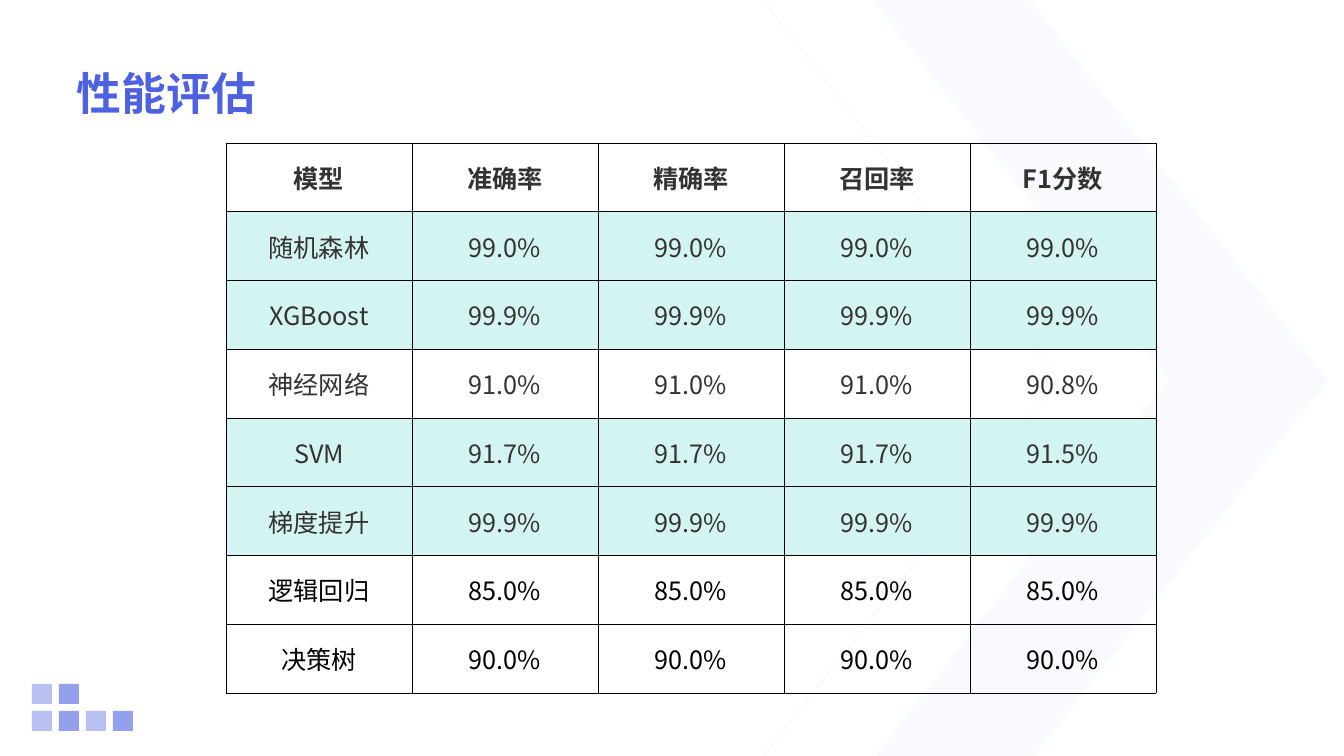
"""Builds a slide with a table that compares the scores of seven models."""
from pptx import Presentation
from pptx.dml.color import RGBColor
from pptx.enum.shapes import MSO_SHAPE as Shape
from pptx.enum.text import MSO_ANCHOR as Anchor, PP_ALIGN as Align
from pptx.oxml import parse_xml
from pptx.oxml.ns import nsdecls, qn
from pptx.util import Emu, Pt

SCALE = 914400 / 100.8
COLORS = {
    "accent": "4E62DF",
    "mint": "D4F4F2",
    "text": "333333",
    "black": "000000",
    "border": "000008",
}
ROWS = [
    ("模型", "准确率", "精确率", "召回率", "F1分数"),
    ("随机森林", "99.0%", "99.0%", "99.0%", "99.0%"),
    ("XGBoost", "99.9%", "99.9%", "99.9%", "99.9%"),
    ("神经网络", "91.0%", "91.0%", "91.0%", "90.8%"),
    ("SVM", "91.7%", "91.7%", "91.7%", "91.5%"),
    ("梯度提升", "99.9%", "99.9%", "99.9%", "99.9%"),
    ("逻辑回归", "85.0%", "85.0%", "85.0%", "85.0%"),
    ("决策树", "90.0%", "90.0%", "90.0%", "90.0%"),
]
MINT_ROWS = {1, 2, 4, 5}


def px(*lengths):
    return [Emu(round(length * SCALE)) for length in lengths]


def paint(fill, percent):
    fill.solid()
    fill.fore_color.rgb = RGBColor.from_string(COLORS["accent"])
    color = fill._xPr.find(qn("a:solidFill"))[0]
    color.append(parse_xml(f'<a:alpha {nsdecls("a")} val="{percent * 1000}"/>'))


deck = Presentation()
deck.slide_width, deck.slide_height = px(1344, 756)
page = deck.slides.add_slide(deck.slide_layouts[5])

outline = page.shapes.build_freeform(764, 756, SCALE)
outline.add_line_segments([(1058, 379), (763, 0)], close=False)
thin_line = outline.convert_to_shape()
thin_line.shadow.inherit = False
thin_line.fill.background()
thin_line.line.width = Pt(1)
paint(thin_line.line.fill, 3)

outline = page.shapes.build_freeform(1030, 0, SCALE)
outline.add_line_segments([(1328, 380), (1034, 756), (875, 756), (1169, 379), (873, 0)])
chevron = outline.convert_to_shape()
chevron.shadow.inherit = False
chevron.line.fill.background()
paint(chevron.fill, 3)

for top, count in ((684, 2), (711, 4)):
    for column in range(count):
        square = page.shapes.add_shape(Shape.RECTANGLE, *px(32 + 27 * column, top, 20, 20))
        square.shadow.inherit = False
        square.line.fill.background()
        paint(square.fill, 60 if column % 2 else 40)

title = page.shapes.title
title.left, title.top, title.width, title.height = px(77, 39, 1190, 80)
frame = title.text_frame
frame.text = "性能评估"
frame.vertical_anchor = Anchor.BOTTOM
frame.margin_left = frame.margin_right = frame.margin_top = frame.margin_bottom = 0
para = frame.paragraphs[0]
para.alignment = Align.LEFT
font = para.runs[0].font
font.name, font.size, font.bold = "Arial", Pt(32), True
font.color.rgb = RGBColor.from_string(COLORS["accent"])

table = page.shapes.add_table(len(ROWS), len(ROWS[0]), *px(226, 143, 930, 550)).table
table.first_row = table.horz_banding = False
for row, values in enumerate(ROWS):
    for column, value in enumerate(values):
        cell = table.cell(row, column)
        cell.text = value
        cell.vertical_anchor = Anchor.MIDDLE
        cell.margin_left, cell.margin_right, cell.margin_top, cell.margin_bottom = px(7, 7, 0, 0)
        for side in "LRTB":
            cell._tc.get_or_add_tcPr().append(parse_xml(
                f'<a:ln{side} {nsdecls("a")} w="6350"><a:solidFill>'
                f'<a:srgbClr val="{COLORS["border"]}"/></a:solidFill></a:ln{side}>'))
        if row in MINT_ROWS:
            cell.fill.solid()
            cell.fill.fore_color.rgb = RGBColor.from_string(COLORS["mint"])
        else:
            cell.fill.background()
        para = cell.text_frame.paragraphs[0]
        para.alignment = Align.CENTER
        para.space_before, para.space_after = (Pt(0), Pt(9)) if row < 5 else (Pt(3), Pt(3))
        font = para.runs[0].font
        font.name, font.size, font.bold = "Noto Sans CJK SC", Pt(18), row == 0
        font.color.rgb = RGBColor.from_string(COLORS["text" if row < 6 else "black"])
        font._rPr.append(parse_xml(f'<a:ea {nsdecls("a")} typeface="Noto Sans CJK SC"/>'))

deck.save("out.pptx")
